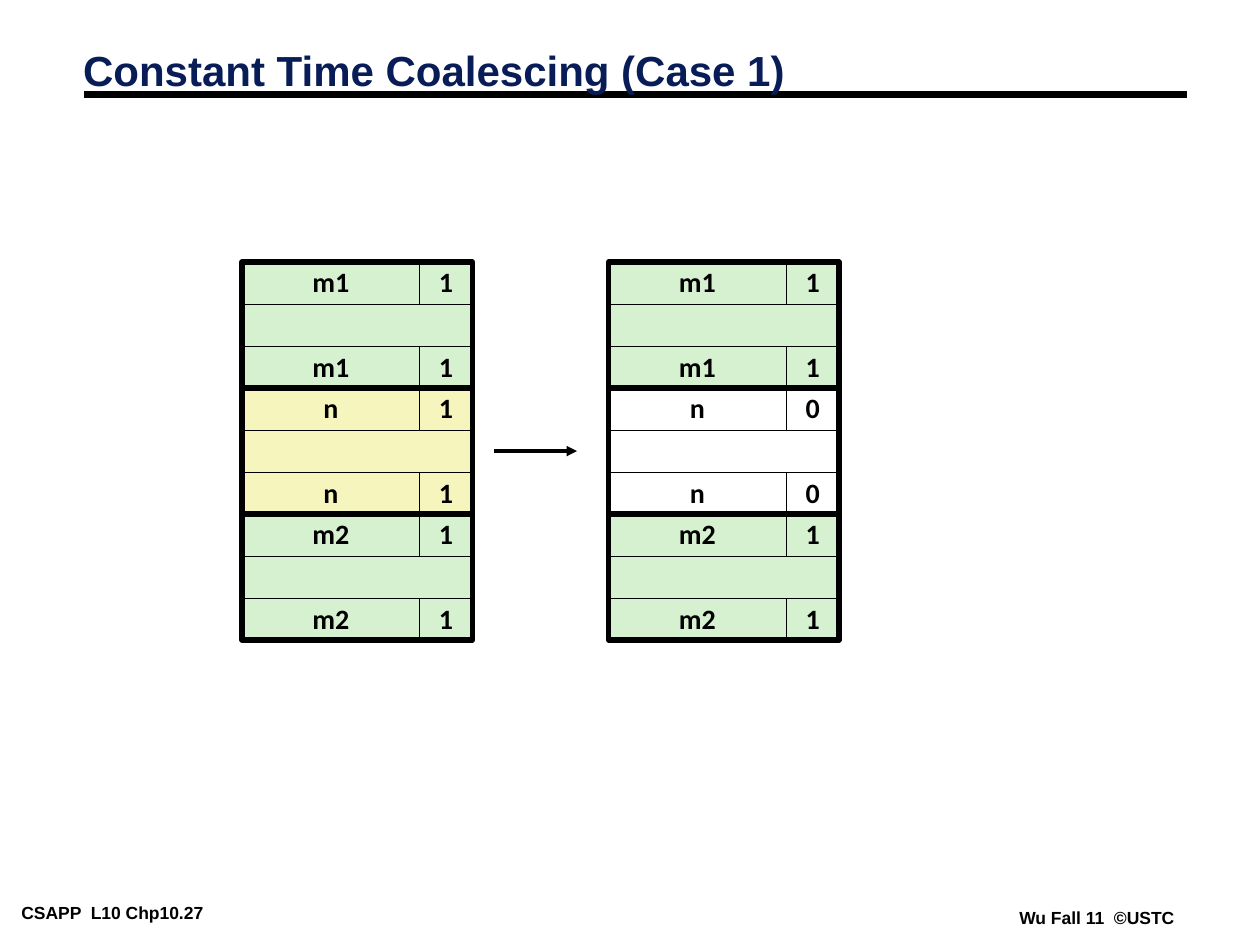
"""Build the slide on constant time coalescing, case 1."""
from dataclasses import dataclass

from lxml import etree
from pptx import Presentation
from pptx.dml.color import RGBColor
from pptx.enum.shapes import MSO_CONNECTOR, MSO_SHAPE
from pptx.enum.text import MSO_ANCHOR, MSO_AUTO_SIZE, PP_ALIGN
from pptx.oxml.ns import qn
from pptx.shapes.autoshape import Shape
from pptx.shapes.connector import Connector
from pptx.slide import Slide
from pptx.text.text import TextFrame
from pptx.util import Inches, Pt

RECTANGLE = MSO_SHAPE.RECTANGLE
STRAIGHT = MSO_CONNECTOR.STRAIGHT
MIDDLE = MSO_ANCHOR.MIDDLE
LEFT, CENTER = PP_ALIGN.LEFT, PP_ALIGN.CENTER
GROW = MSO_AUTO_SIZE.SHAPE_TO_FIT_TEXT

BLACK = RGBColor(0x00, 0x00, 0x00)
WHITE = RGBColor(0xFF, 0xFF, 0xFF)
NAVY = RGBColor(0x08, 0x1D, 0x58)
GREEN = RGBColor(0xD5, 0xF1, 0xCF)
YELLOW = RGBColor(0xF6, 0xF5, 0xBD)

HEAP_TOP = 2.08
ROW_HEIGHT = 1 / 3
BLOCK_HEIGHT = 3 * ROW_HEIGHT
SIZE_WIDTH = 1.41
FLAG_WIDTH = 0.42
BLOCK_WIDTH = SIZE_WIDTH + FLAG_WIDTH


@dataclass
class Block:
    size: str
    allocated: str
    color: RGBColor


@dataclass
class Heap:
    left: float
    blocks: list[Block]


@dataclass
class Footer:
    text: str
    left: float
    top: float
    width: float


M1 = Block("m1", "1", GREEN)
M2 = Block("m2", "1", GREEN)
HEAPS = [
    Heap(1.92, [M1, Block("n", "1", YELLOW), M2]),
    Heap(4.83, [M1, Block("n", "0", WHITE), M2]),
]
FOOTERS = [
    Footer("CSAPP  L10 Chp10.27", 0.1, 7.13, 2.1),
    Footer("Wu Fall 11  ©USTC", 8.02, 7.17, 1.38),
]


def style_text(frame: TextFrame, font_name: str, size: float, color: RGBColor,
               alignment: PP_ALIGN) -> None:
    paragraph = frame.paragraphs[0]
    paragraph.alignment = alignment
    for run in paragraph.runs:
        run.font.name = font_name
        run.font.size = Pt(size)
        run.font.bold = True
        run.font.color.rgb = color


def add_rectangle(slide: Slide, left: float, top: float, width: float,
                  height: float, border: float) -> Shape:
    rectangle = slide.shapes.add_shape(
        RECTANGLE, Inches(left), Inches(top), Inches(width), Inches(height))
    rectangle.shadow.inherit = False
    rectangle.fill.background()
    rectangle.line.color.rgb = BLACK
    rectangle.line.width = Pt(border)
    return rectangle


def add_cell(slide: Slide, left: float, top: float, width: float,
             color: RGBColor, text: str = "") -> None:
    cell = add_rectangle(slide, left, top, width, ROW_HEIGHT, 0.25)
    cell.fill.solid()
    cell.fill.fore_color.rgb = color
    if text:
        frame = cell.text_frame
        frame.text = text
        frame.word_wrap = False
        frame.vertical_anchor = MIDDLE
        frame.paragraphs[0].line_spacing = 0.98
        style_text(frame, "Calibri", 16, BLACK, CENTER)


def add_block(slide: Slide, left: float, top: float, block: Block) -> None:
    for tag_top in (top, top + 2 * ROW_HEIGHT):
        add_cell(slide, left, tag_top, SIZE_WIDTH, block.color, block.size)
        add_cell(slide, left + SIZE_WIDTH, tag_top, FLAG_WIDTH, block.color,
                 block.allocated)
    add_cell(slide, left, top + ROW_HEIGHT, BLOCK_WIDTH, block.color)
    add_rectangle(slide, left, top, BLOCK_WIDTH, BLOCK_HEIGHT, 3)


def add_line(slide: Slide, left: float, right: float, y: float,
             width: float) -> Connector:
    line = slide.shapes.add_connector(
        STRAIGHT, Inches(left), Inches(y), Inches(right), Inches(y))
    line.line.color.rgb = BLACK
    line.line.width = Pt(width)
    etree.SubElement(line.element.spPr, qn("a:effectLst"))
    return line


def add_title(slide: Slide, text: str) -> None:
    title = slide.shapes.title
    title.left, title.top = Inches(0.56), Inches(0.36)
    title.width, title.height = Inches(9.08), Inches(0.45)
    frame = title.text_frame
    frame.text = text
    frame.word_wrap = True
    frame.auto_size = GROW
    frame.vertical_anchor = MIDDLE
    frame.paragraphs[0].line_spacing = 0.87
    style_text(frame, "Arial", 24, NAVY, LEFT)
    rule = add_line(slide, 0.67, 9.42, 0.75, 4.5)
    title.element.addprevious(rule.element)


def add_footer(slide: Slide, footer: Footer) -> None:
    box = slide.shapes.add_textbox(
        Inches(footer.left), Inches(footer.top), Inches(footer.width), Inches(0.22))
    frame = box.text_frame
    frame.text = footer.text
    frame.word_wrap = False
    frame.auto_size = GROW
    frame.margin_left = frame.margin_right = Inches(0.07)
    frame.margin_top = frame.margin_bottom = Inches(0.03)
    style_text(frame, "Arial", 10, BLACK, LEFT)


def main() -> None:
    presentation = Presentation()
    presentation.slide_width, presentation.slide_height = Inches(10), Inches(7.5)
    slide = presentation.slides.add_slide(
        presentation.slide_layouts.get_by_name("Title Only"))

    add_title(slide, "Constant Time Coalescing (Case 1)")
    for footer in FOOTERS:
        add_footer(slide, footer)
    for heap in HEAPS:
        for index, block in enumerate(heap.blocks):
            add_block(slide, heap.left, HEAP_TOP + index * BLOCK_HEIGHT, block)

    arrow = add_line(slide, 3.92, 4.58, HEAP_TOP + 1.5 * BLOCK_HEIGHT, 2)
    etree.SubElement(arrow.line._get_or_add_ln(), qn("a:tailEnd"), type="triangle")

    presentation.save("out.pptx")


if __name__ == "__main__":
    main()
